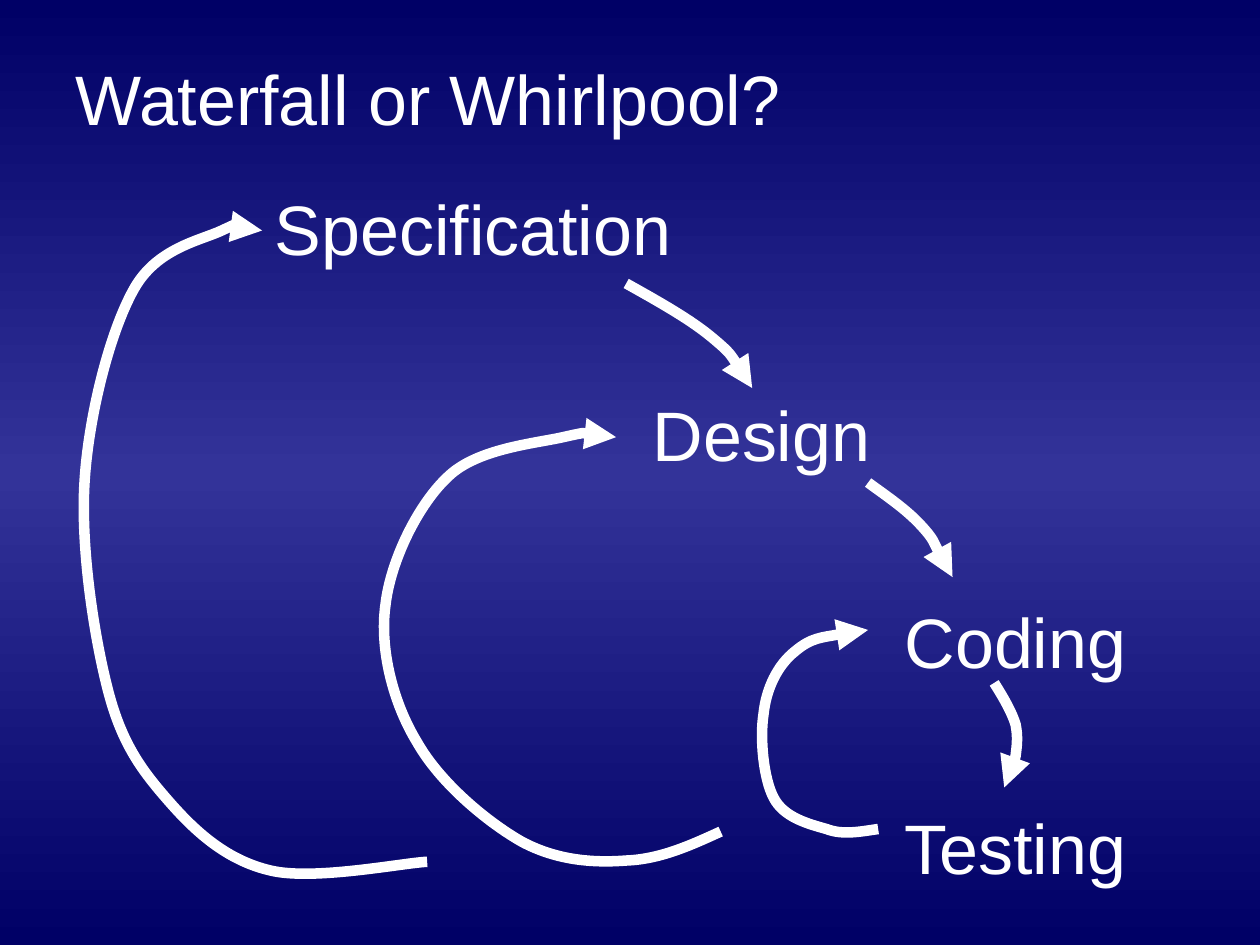
from copy import deepcopy

from pptx import Presentation
from pptx.dml.color import RGBColor
from pptx.enum.text import MSO_ANCHOR, MSO_AUTO_SIZE, PP_ALIGN
from pptx.oxml.ns import qn
from pptx.oxml.xmlchemy import OxmlElement
from pptx.util import Inches, Pt

TITLE = "Waterfall or Whirlpool?"
PHASES = [("Specification", 1), ("Design", 4), ("Coding", 6), ("Testing", 6)]  # text, indent

# Each arrow: a start point, then two control points and an end point per curve.
FORWARD_ARROWS = [
    [(4.97, 2.25), (5.22, 2.39), (5.47, 2.53), (5.64, 2.67),
     (5.81, 2.81), (5.89, 2.94), (5.97, 3.08)],
    [(6.89, 3.83), (7.04, 3.94), (7.19, 4.04), (7.31, 4.17),
     (7.42, 4.29), (7.51, 4.51), (7.56, 4.58)],
    [(7.89, 5.42), (7.96, 5.53), (8.03, 5.65), (8.06, 5.75),
     (8.08, 5.85), (8.07, 5.92), (8.06, 6), (8.04, 6.08), (8.01, 6.17), (7.97, 6.25)],
]
RETURN_ARROWS = [
    [(6.97, 6.58), (6.83, 6.6), (6.69, 6.63), (6.56, 6.58),
     (6.42, 6.54), (6.22, 6.49), (6.14, 6.33), (6.06, 6.18), (6.03, 5.86), (6.06, 5.67),
     (6.08, 5.47), (6.17, 5.28), (6.31, 5.17), (6.44, 5.06), (6.67, 5.03), (6.89, 5)],
    [(5.72, 6.6), (5.48, 6.71), (5.24, 6.82), (4.97, 6.83),
     (4.71, 6.85), (4.42, 6.83), (4.14, 6.68), (3.86, 6.52), (3.49, 6.21), (3.31, 5.89),
     (3.12, 5.58), (3.01, 5.15), (3.06, 4.8), (3.1, 4.45), (3.32, 4), (3.56, 3.78),
     (3.79, 3.56), (4.25, 3.52), (4.47, 3.47), (4.69, 3.42), (4.79, 3.44), (4.89, 3.47)],
    [(3.39, 6.84), (3.19, 6.85), (2.49, 6.99), (2.15, 6.91),
     (1.8, 6.83), (1.55, 6.6), (1.34, 6.36), (1.13, 6.12), (0.97, 5.91), (0.86, 5.49),
     (0.75, 5.07), (0.64, 4.37), (0.67, 3.84), (0.7, 3.31), (0.87, 2.64), (1.06, 2.3),
     (1.24, 1.97), (1.59, 1.91), (1.76, 1.83), (1.93, 1.75), (2.01, 1.79), (2.08, 1.83)],
]

THEME = {
    "ink": RGBColor.from_string("FFFFFF"),
    "stops": [(0, "000066"), (0.5, "333399"), (1, "000066")],
    "font": {"name": "Arial", "size": Pt(40), "bold": False},
    "line": Pt(6),
    "first_gap": Pt(3),
    "phase_gap": Pt(70),
}


def set_all(obj, values):
    for name, value in values.items():
        setattr(obj, name, value)


def paint_background(s):
    fill = s.background.fill
    fill.gradient()
    fill.gradient_angle = 270
    stop_list = next(s.element.iter(qn("a:gsLst")))
    stop_list.insert(1, deepcopy(stop_list[0]))
    for stop, (position, color) in zip(fill.gradient_stops, THEME["stops"]):
        stop.position = position
        stop.color.rgb = RGBColor.from_string(color)


def place(sp, box, anchor):
    sp.left, sp.top, sp.width, sp.height = map(Inches, box)
    set_all(sp.text_frame, {"vertical_anchor": anchor, "word_wrap": True,
                            "auto_size": MSO_AUTO_SIZE.NONE})
    return sp.text_frame


def write(p, text, gap=0):
    set_all(p, {"alignment": PP_ALIGN.LEFT, "space_before": gap})
    r = p.add_run()
    r.text = text
    set_all(r.font, THEME["font"])
    r.font.color.rgb = THEME["ink"]


def add_phases(tf):
    for i, (text, indent) in enumerate(PHASES):
        p = tf.add_paragraph() if i else tf.paragraphs[0]
        write(p, text, THEME["phase_gap"] if i else THEME["first_gap"])
        pPr = p._p.get_or_add_pPr()
        pPr.set("marL", str(Inches(indent)))
        pPr.set("indent", "0")
        pPr.append(OxmlElement("a:buNone"))


def add_curved_arrow(s, points):
    start, *rest = [(Inches(x), Inches(y)) for x, y in points]
    builder = s.shapes.build_freeform(*start)
    builder.add_line_segments(rest, close=False)
    sp = builder.convert_to_shape()

    # Join every three straight segments into one cubic curve.
    outline = next(sp.element.iter(qn("a:path")))
    segments = outline.findall(qn("a:lnTo"))
    for i in range(0, len(segments), 3):
        curve = OxmlElement("a:cubicBezTo")
        for segment in segments[i:i + 3]:
            curve.append(segment[0])
            outline.remove(segment)
        outline.append(curve)

    sp.shadow.inherit = False
    sp.fill.background()
    sp.line.color.rgb = THEME["ink"]
    sp.line.width = THEME["line"]
    head = OxmlElement("a:tailEnd")
    head.set("type", "triangle")
    sp.line._get_or_add_ln().append(head)


def main():
    prs = Presentation()
    prs.slide_width, prs.slide_height = Inches(10), Inches(7.5)
    s = prs.slides.add_slide(prs.slide_layouts[1])
    paint_background(s)
    title = place(s.shapes.title, (0.5, 0.3, 9, 0.95), MSO_ANCHOR.MIDDLE)
    write(title.paragraphs[0], TITLE)
    add_phases(place(s.placeholders[1], (1.08, 1.42, 9.17, 5.67), MSO_ANCHOR.TOP))
    for points in FORWARD_ARROWS + RETURN_ARROWS:
        add_curved_arrow(s, points)
    prs.save("out.pptx")


if __name__ == "__main__":
    main()
